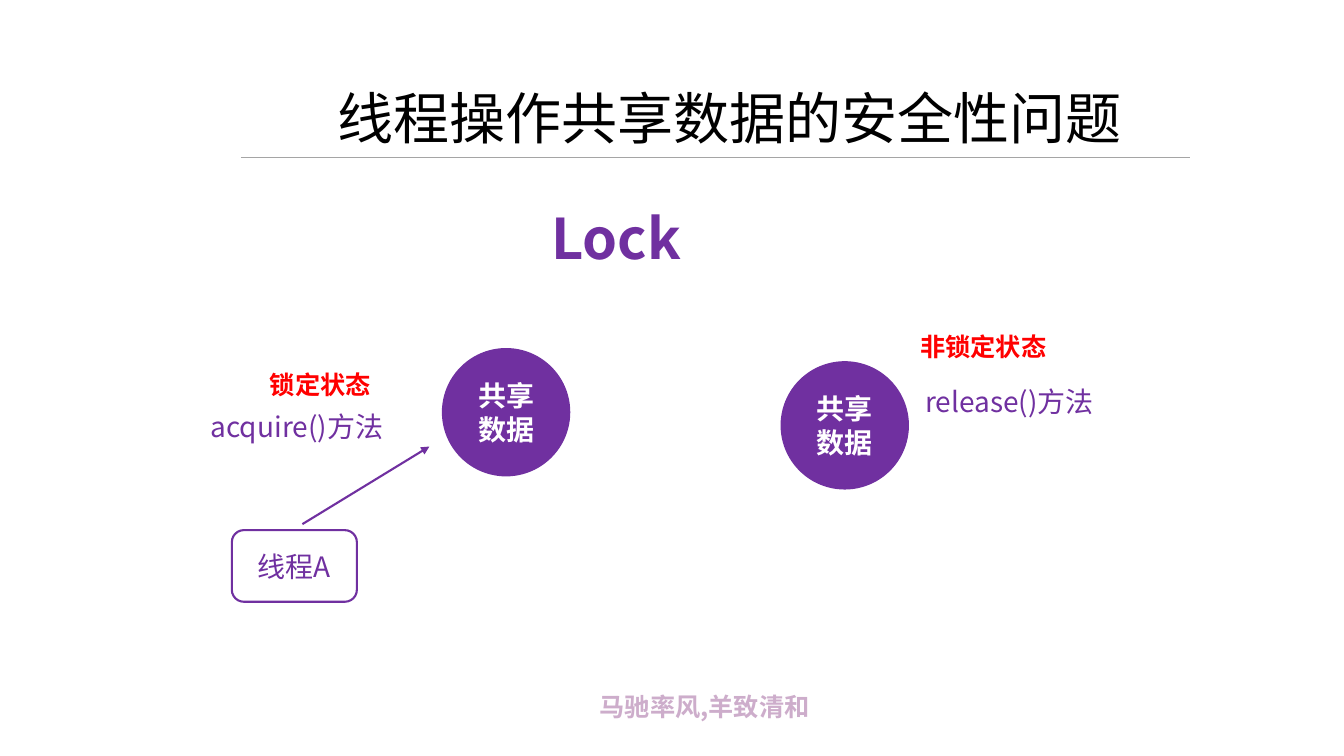
"""Build the slide on thread safety of shared data guarded by a Lock."""
from dataclasses import dataclass
from typing import Optional

from lxml.etree import SubElement
from pptx import Presentation
from pptx.dml.color import RGBColor
from pptx.enum.shapes import MSO_CONNECTOR, MSO_SHAPE
from pptx.enum.text import MSO_ANCHOR as Anchor, MSO_AUTO_SIZE, PP_ALIGN as Align
from pptx.oxml.ns import qn
from pptx.util import Inches, Pt

FONT = "Noto Sans CJK SC"
PURPLE, RED, WHITE, BLACK = "7030A0", "FF0000", "FFFFFF", "000000"
GRAY, MAUVE = "A5A5A5", "CDADCB"
WIDTH, HEIGHT = Inches(13.33), Inches(7.5)


@dataclass(frozen=True)
class Box:
    """Place and size in percent of the slide's width and height."""
    left: float
    top: float
    width: float
    height: float

    def place(self) -> tuple[int, int, int, int]:
        """Return the box in slide units."""
        return (across(self.left), down(self.top),
                across(self.width), down(self.height))


@dataclass(frozen=True)
class Label:
    """Free text in a box."""
    text: str
    box: Box
    size: int
    color: str
    bold: bool = False
    wrap: bool = True


@dataclass(frozen=True)
class Node:
    """Outlined shape with centred text."""
    text: str
    box: Box
    preset: MSO_SHAPE
    color: str
    fill: Optional[str]
    weight: float
    bold: bool


@dataclass(frozen=True)
class Stroke:
    """Straight line between two points in percent of the slide."""
    start: tuple[float, float]
    end: tuple[float, float]
    color: str
    weight: float
    arrow: bool = False


def shared_data(left: float, top: float) -> Node:
    """Describe one circle of shared data."""
    return Node("共享数据", Box(left, top, 9.45, 16.8), MSO_SHAPE.OVAL,
                WHITE, PURPLE, 1, True)


TITLE = Label("线程操作共享数据的安全性问题", Box(24.38, 10.4, 60.45, 10.27),
              40, BLACK, wrap=False)
STROKES = [
    Stroke((17.93, 20.8), (88.58, 20.8), GRAY, 0.5),
    Stroke((22.5, 69.33), (31.95, 59.07), PURPLE, 1.5, arrow=True),
]
NODES = [
    shared_data(32.93, 46.13),
    shared_data(58.13, 47.87),
    Node("线程A", Box(17.25, 70.13, 9.3, 9.47), MSO_SHAPE.ROUNDED_RECTANGLE,
         PURPLE, None, 1.5, False),
]
LABELS = [
    Label("马驰率风,羊致清和", Box(43.88, 90.8, 21.3, 5.33), 18, MAUVE, bold=True),
    Label("锁定状态", Box(19.35, 48.13, 9.08, 5.33), 18, RED, bold=True, wrap=False),
    Label("非锁定状态", Box(67.73, 43.2, 12, 5.33), 18, RED, bold=True),
    Label("acquire()方法", Box(14.93, 53.47, 14.6, 5.87), 20, PURPLE),
    Label("release()方法", Box(68.1, 50.27, 14.6, 5.87), 20, PURPLE),
    Label("Lock", Box(40.28, 26.27, 13.28, 10.27), 40, PURPLE, bold=True),
]


def across(percent: float) -> int:
    """Turn a share of the slide's width into a length."""
    return round(WIDTH * percent / 100)


def down(percent: float) -> int:
    """Turn a share of the slide's height into a length."""
    return round(HEIGHT * percent / 100)


def rgb(value: str) -> RGBColor:
    """Turn a hex string into a colour."""
    return RGBColor.from_string(value)


def write(frame, text: str, size: int, color: str, bold: bool,
          align: Align, anchor: Anchor, wrap: bool = True) -> None:
    """Fill a text frame and format its text."""
    frame.text = text
    frame.auto_size = MSO_AUTO_SIZE.NONE
    frame.word_wrap = wrap
    frame.vertical_anchor = anchor
    for paragraph in frame.paragraphs:
        paragraph.alignment = align
        for run in paragraph.runs:
            font = run.font
            font.name, font.size, font.bold = FONT, Pt(size), bold
            font.color.rgb = rgb(color)
            SubElement(run._r.get_or_add_rPr(), qn("a:ea"), typeface=FONT)


def fill_label(holder, label: Label) -> None:
    """Write a label into its text holder."""
    write(holder.text_frame, label.text, label.size, label.color, label.bold,
          Align.LEFT, Anchor.TOP, label.wrap)


def draw_title(slide, label: Label) -> None:
    """Move and format the title placeholder."""
    title = slide.shapes.title
    title.left, title.top, title.width, title.height = label.box.place()
    fill_label(title, label)


def draw_label(slide, label: Label) -> None:
    """Add a text box."""
    fill_label(slide.shapes.add_textbox(*label.box.place()), label)


def draw_node(slide, node: Node) -> None:
    """Add a shape with centred text."""
    shape = slide.shapes.add_shape(node.preset, *node.box.place())
    shape.shadow.inherit = False
    if node.fill:
        shape.fill.solid()
        shape.fill.fore_color.rgb = rgb(node.fill)
    else:
        shape.fill.background()
    shape.line.color.rgb = rgb(PURPLE)
    shape.line.width = Pt(node.weight)
    write(shape.text_frame, node.text, 20, node.color, node.bold,
          Align.CENTER, Anchor.MIDDLE)


def draw_stroke(slide, stroke: Stroke) -> None:
    """Add a line, with an arrowhead at its end if wanted."""
    (x1, y1), (x2, y2) = stroke.start, stroke.end
    line = slide.shapes.add_connector(MSO_CONNECTOR.STRAIGHT, across(x1), down(y1),
                                      across(x2), down(y2))
    line.line.color.rgb = rgb(stroke.color)
    line.line.width = Pt(stroke.weight)
    if stroke.arrow:
        SubElement(line.line._get_or_add_ln(), qn("a:tailEnd"), type="triangle")
    SubElement(line._element.spPr, qn("a:effectLst"))


def main() -> None:
    """Build and save the slide."""
    deck = Presentation()
    deck.slide_width, deck.slide_height = WIDTH, HEIGHT
    slide = deck.slides.add_slide(deck.slide_layouts.get_by_name("Title Only"))
    draw_title(slide, TITLE)
    for stroke in STROKES:
        draw_stroke(slide, stroke)
    for node in NODES:
        draw_node(slide, node)
    for label in LABELS:
        draw_label(slide, label)
    deck.save("out.pptx")


if __name__ == "__main__":
    main()
